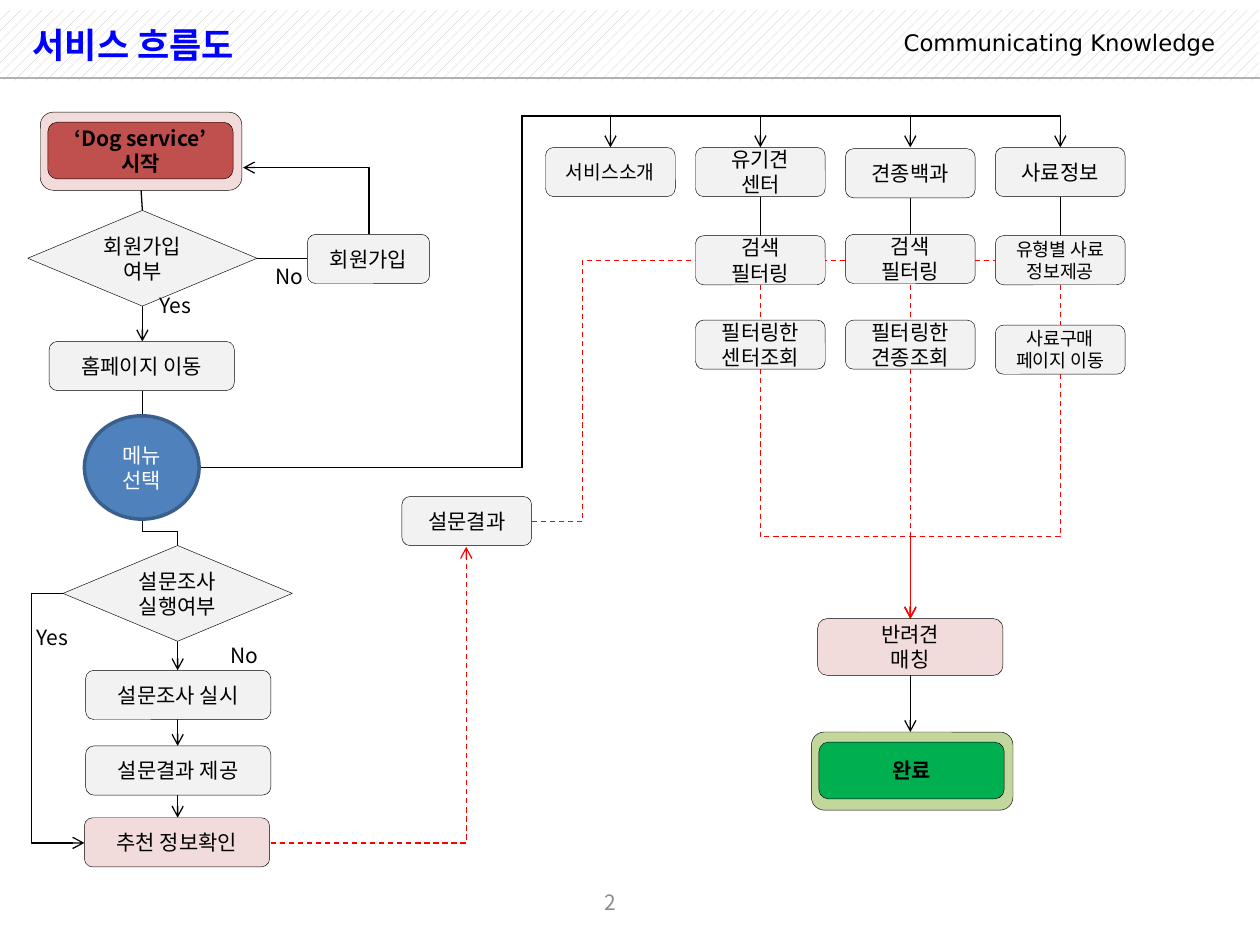
import pptx
import pptx.util
import pptx.dml.color
import pptx.enum.dml
import pptx.enum.shapes
import pptx.enum.text
import pptx.oxml
import pptx.oxml.ns

Inches, Pt = pptx.util.Inches, pptx.util.Pt
RGBColor = pptx.dml.color.RGBColor
SHAPE = pptx.enum.shapes.MSO_SHAPE
CONNECTOR = pptx.enum.shapes.MSO_CONNECTOR
ALIGN = pptx.enum.text.PP_ALIGN
MIDDLE = pptx.enum.text.MSO_ANCHOR.MIDDLE
qn = pptx.oxml.ns.qn

BLACK = RGBColor(0x00, 0x00, 0x00)
WHITE = RGBColor(0xFF, 0xFF, 0xFF)
RED = RGBColor(0xFF, 0x00, 0x00)
BLUE = RGBColor(0x00, 0x00, 0xFF)
STEP = RGBColor(0xF2, 0xF2, 0xF2)
PINK = RGBColor(0xF2, 0xDC, 0xDB)
START = RGBColor(0xC0, 0x50, 0x4D)
DONE = RGBColor(0x00, 0xB0, 0x50)
DONE_FRAME = RGBColor(0xC3, 0xD6, 0x9B)
MENU = RGBColor(0x4F, 0x81, 0xBD)
MENU_EDGE = RGBColor(0x3A, 0x5F, 0x8C)
HATCH = RGBColor(0xC0, 0xC0, 0xC0)
RULE = RGBColor(0xB2, 0xB2, 0xB2)
PAGE_GREY = RGBColor(0x8C, 0x8C, 0x8C)

KOREAN = "Noto Sans CJK KR"
BAR_W, BAR_H = 1.47, 0.39
BOX_W = 1.03
COLUMNS = [4.33 + 1.19 * i for i in range(4)]
CENTERS = [x + BOX_W / 2 for x in COLUMNS]


def write(frame, text, color=BLACK, size=12, font=KOREAN, bold=False,
          align=ALIGN.CENTER):
    """Fill a text frame, one paragraph per line of text."""
    frame.text = text
    for paragraph in frame.paragraphs:
        paragraph.alignment = align
        run = paragraph.runs[0]
        formats = {"size": Pt(size), "name": font, "bold": bold}
        for key, value in formats.items():
            setattr(run.font, key, value)
        run.font.color.rgb = color
        east_asian = pptx.oxml.parse_xml(
            f'<a:ea {pptx.oxml.ns.nsdecls("a")} typeface="{font}"/>')
        run.font._element.find(qn("a:latin")).addnext(east_asian)


def node(shapes, x, y, w, h, fill, text="", kind=SHAPE.ROUNDED_RECTANGLE,
         edge=BLACK, edge_width=0.25, **style):
    shape = shapes.add_shape(kind, Inches(x), Inches(y), Inches(w), Inches(h))
    shape.shadow.inherit = False
    shape.fill.solid()
    shape.fill.fore_color.rgb = fill
    shape.line.color.rgb = edge
    shape.line.width = Pt(edge_width)
    if text:
        formats = {"word_wrap": True, "vertical_anchor": MIDDLE}
        for key, value in formats.items():
            setattr(shape.text_frame, key, value)
        write(shape.text_frame, text, **style)


def label(shapes, x, y, w, h, text, wrap=False, anchor=None, **style):
    frame = shapes.add_textbox(Inches(x), Inches(y), Inches(w), Inches(h)).text_frame
    for key, value in {"word_wrap": wrap, "vertical_anchor": anchor}.items():
        setattr(frame, key, value)
    write(frame, text, **style)
    return frame


def flow(shapes, *points, color=BLACK, dash=False, arrow=False):
    """Connect points; inner points are the corners of an elbow connector."""
    (x0, y0), (x1, y1) = points[0], points[-1]
    legs = len(points) - 1
    downward = legs > 1 and points[1][0] == x0
    begin, end = (x0, y0), (x1, y1)
    if downward:  # lay the path out sideways, then turn it a quarter
        cx, cy, along, across = (x0 + x1) / 2, (y0 + y1) / 2, y1 - y0, x0 - x1
        begin = cx - along / 2, cy - across / 2
        end = cx + along / 2, cy + across / 2
    kind = CONNECTOR.STRAIGHT if legs == 1 else CONNECTOR.ELBOW
    line = shapes.add_connector(kind, *map(Inches, begin + end))
    properties = line._element.spPr
    if downward:
        properties.find(qn("a:xfrm")).set("rot", "5400000")
    if legs > 1:
        geometry = properties.find(qn("a:prstGeom"))
        geometry.set("prst", f"bentConnector{legs}")
        adjusts = geometry.get_or_add_avLst()
        for i in range(1, legs - 1):
            vertical = downward == (i % 2 == 1)
            start, stop = (y0, y1) if vertical else (x0, x1)
            share = (points[i][vertical] - start) / (stop - start)
            guide = adjusts.makeelement(qn("a:gd"), {
                "name": f"adj{i}", "fmla": f"val {round(share * 100000)}"})
            adjusts.append(guide)
    line.line.color.rgb = color
    line.line.width = Pt(0.75)
    if dash:
        line.line.dash_style = pptx.enum.dml.MSO_LINE.DASH
    if arrow:
        outline = line.line._get_or_add_ln()
        outline.append(outline.makeelement(qn("a:tailEnd"), {"type": "arrow"}))
    properties.append(properties.makeelement(qn("a:effectLst"), {}))
    return line


def add_header(slide):
    shapes = slide.shapes
    band = shapes.add_shape(SHAPE.RECTANGLE, 0, Inches(0.08), Inches(9.99), Inches(0.56))
    band.shadow.inherit = False
    band.fill.patterned()
    band.fill.pattern = pptx.enum.dml.MSO_PATTERN.PERCENT_20
    band.fill.fore_color.rgb = HATCH
    band.fill.back_color.rgb = WHITE
    band.line.fill.background()
    motto = label(shapes, 7.03, 0.22, 2.71, 0.28, "Communicating Knowledge", wrap=True,
                  size=13, font="DejaVu Sans", align=ALIGN.RIGHT)
    motto.paragraphs[0].line_spacing = 0.8
    motto.paragraphs[0].space_before = Pt(6.5)
    flow(shapes, (0, 0.62), (10, 0.62), color=RULE)

    title = shapes.title
    place = {"left": 0.16, "top": 0.08, "width": 6.95, "height": 0.55}
    for key, value in place.items():
        setattr(title, key, Inches(value))
    title.text_frame.vertical_anchor = MIDDLE
    write(title.text_frame, "서비스 흐름도", color=BLUE, size=20, bold=True,
          align=ALIGN.LEFT)
    # Keep the title in front of the band
    shapes._spTree.append(title._element)
    label(shapes, 0, 6.96, 9.69, 0.4, "2", wrap=True, anchor=MIDDLE, color=PAGE_GREY)


def add_flows(shapes):
    # Sign-up and survey, top to bottom
    flow(shapes, (1.12, 1.51), (1.13, 1.67))
    flow(shapes, (2.04, 2.05), (2.44, 2.05))
    flow(shapes, (2.93, 1.86), (2.93, 1.33), (1.93, 1.33), arrow=True)
    flow(shapes, (1.13, 2.43), (1.13, 2.71), arrow=True)
    flow(shapes, (1.13, 3.1), (1.13, 3.3))
    flow(shapes, (1.41, 4.33), (1.41, 4.22), (1.13, 4.22), (1.13, 4.12))
    for top, bottom in ((5.09, 5.32), (5.71, 5.92), (6.31, 6.49)):
        flow(shapes, (1.41, top), (1.41, bottom), arrow=True)
    flow(shapes, (0.5, 4.71), (0.25, 4.71), (0.25, 6.69), (0.67, 6.69), arrow=True)

    # Menu to the four services
    for x in CENTERS:
        flow(shapes, (1.58, 3.71), (4.14, 3.71), (4.14, 0.92), (x, 0.92), (x, 1.17),
             arrow=True)
    for x in CENTERS[1:]:
        flow(shapes, (x, 1.56), (x, 1.87))

    # Matching
    red = {"color": RED, "dash": True}
    flow(shapes, (2.15, 6.69), (3.7, 6.69), (3.7, 4.34), arrow=True, **red)
    flow(shapes, (4.22, 4.14), (4.62, 4.14), (4.62, 2.07), (7.9, 2.07), **red)
    center, breed, food = CENTERS[1:]
    for x, bottom in ((center, 2.54), (breed, 2.54), (food, 2.58)):
        flow(shapes, (x, 2.26), (x, bottom), **red)
    flow(shapes, (breed, 2.93), (breed, 4.91), arrow=True, **red)
    for x, top in ((center, 2.93), (food, 2.97)):
        flow(shapes, (x, top), (x, 4.26), (breed, 4.26), (breed, 4.91), arrow=True, **red)
    flow(shapes, (breed, 5.36), (breed, 5.81), arrow=True)


def add_nodes(shapes):
    # Framed start and end
    for x, y, frame, fill, text in ((0.32, 0.89, PINK, START, "‘Dog service’\n시작"),
                                    (6.44, 5.81, DONE_FRAME, DONE, "완료")):
        terminal = shapes.add_group_shape().shapes
        node(terminal, x, y, 1.6, 0.62, frame)
        node(terminal, x + 0.06, y + 0.08, BAR_W, 0.45, fill, text, bold=True)

    for x, y, text in ((0.22, 1.67, "회원가입\n여부"), (0.5, 4.33, "설문조사\n실행여부")):
        node(shapes, x, y, 1.82, 0.76, STEP, text, kind=SHAPE.FLOWCHART_DECISION)
    node(shapes, 0.67, 3.3, 0.91, 0.82, MENU, "메뉴선택", kind=SHAPE.OVAL,
         edge=MENU_EDGE, edge_width=2, color=WHITE)

    for x, y, fill, text in ((0.39, 2.71, STEP, "홈페이지 이동"),
                             (0.68, 5.32, STEP, "설문조사 실시"),
                             (0.68, 5.92, STEP, "설문결과 제공"),
                             (0.67, 6.49, PINK, "추천 정보확인")):
        node(shapes, x, y, BAR_W, BAR_H, fill, text)
    node(shapes, 6.49, 4.91, BAR_W, 0.45, PINK, "반려견\n매칭")
    node(shapes, 2.44, 1.86, 0.97, BAR_H, STEP, "회원가입")
    node(shapes, 3.19, 3.94, BOX_W, BAR_H, STEP, "설문결과")

    # Service columns: (top, text, size) from top to bottom
    services = (
        ((1.17, "서비스소개", 11),),
        ((1.17, "유기견\n센터", 12), (1.87, "검색\n필터링", 12), (2.54, "필터링한\n센터조회", 12)),
        ((1.18, "견종백과", 12), (1.86, "검색\n필터링", 12), (2.54, "필터링한\n견종조회", 12)),
        ((1.17, "사료정보", 12), (1.87, "유형별 사료 정보제공", 10.5),
         (2.58, "사료구매\n페이지 이동", 10.5)),
    )
    for x, steps in zip(COLUMNS, services):
        for y, text, size in steps:
            node(shapes, x, y, BOX_W, BAR_H, STEP, text, size=size)

    # Answers beside the decisions
    for x, y, w, text in ((1.17, 2.27, 0.49, "Yes"), (2.09, 2.04, 0.42, "No"),
                          (0.19, 4.91, 0.49, "Yes"), (1.73, 5.05, 0.42, "No")):
        label(shapes, x, y, w, 0.3, text, align=ALIGN.LEFT)


def main():
    deck = pptx.Presentation()
    deck.slide_width, deck.slide_height = Inches(10), Inches(7.5)
    slide = deck.slides.add_slide(deck.slide_layouts[5])
    add_header(slide)
    add_flows(slide.shapes)
    add_nodes(slide.shapes)
    deck.save("out.pptx")


if __name__ == "__main__":
    main()
